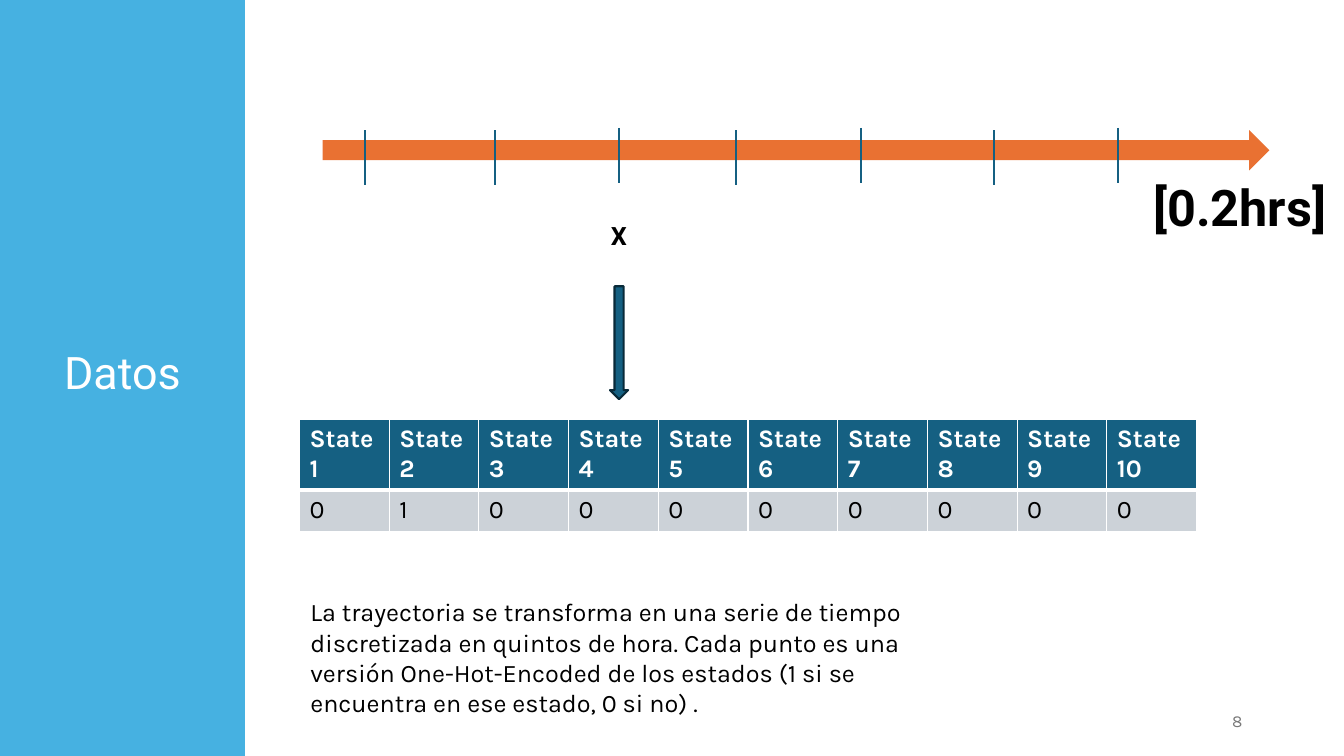
from lxml import etree
from pptx import Presentation
from pptx import util as u
from pptx.dml.color import RGBColor
from pptx.enum import shapes, text
from pptx.oxml.ns import qn

PX = 9144  # 100 px to the inch
SLIDE = (1333, 750)
COLORS = {
    "sidebar": "46B1E1", "timeline": "E97132", "teal": "156082",
    "outline": "092A39", "row": "CCD2D8", "number": "797979",
    "white": "FFFFFF", "black": "000000",
}

TITLE = "Datos"
NUMBER = "8"
UNIT = "[0.2hrs]"
MARK = "X"
CAPTION = (
    "La trayectoria se transforma en una serie de tiempo discretizada en "
    "quintos de hora. Cada punto es una versión One-Hot-Encoded de los "
    "estados (1 si se encuentra en ese estado, 0 si no) ."
)
STATES = 10
ACTIVE_STATE = 2

TICKS = [(362, 129), (491, 129), (614, 127), (730, 129),
         (854, 127), (986, 129), (1109, 127)]
TICK_LENGTH = 55
TABLE_LEFT, TABLE_TOP, COLUMN = 297, 416, 89
ROWS = (70, 41)


def px(*lengths):
    return [u.Emu(length * PX) for length in lengths]


def color(name):
    return RGBColor.from_string(COLORS[name])


def style(para, size, font, ink, bold=False):
    para.font.size = u.Pt(size)
    para.font.name = font
    para.font.bold = bold
    para.font.color.rgb = color(ink)


def add_text(page, words, place, size, font, ink="black", bold=False,
             align=text.PP_ALIGN.LEFT, anchor=text.MSO_ANCHOR.TOP):
    frame = page.shapes.add_textbox(*px(*place)).text_frame
    frame.word_wrap = True
    frame.vertical_anchor = anchor
    para = frame.paragraphs[0]
    para.text = words
    para.alignment = align
    style(para, size, font, ink, bold)
    return para


def add_block(page, kind, place, fill, outline=None):
    block = page.shapes.add_shape(kind, *px(*place))
    block.shadow.inherit = False
    block.fill.solid()
    block.fill.fore_color.rgb = color(fill)
    if outline:
        block.line.color.rgb = color(outline)
        block.line.width = u.Pt(1.5)
    else:
        block.line.fill.background()


def add_tick(page, left, top):
    tick = page.shapes.add_connector(
        shapes.MSO_CONNECTOR.STRAIGHT, *px(left, top, left, top + TICK_LENGTH))
    tick.line.color.rgb = color("teal")
    tick.line.width = u.Pt(1.5)
    etree.SubElement(tick._element.spPr, qn("a:effectLst"))


def set_borders(cell, top, bottom):
    """Draw white cell borders; widths are in points."""
    props = cell._tc.get_or_add_tcPr()
    sides = (("a:lnL", 1), ("a:lnR", 1), ("a:lnT", top), ("a:lnB", bottom))
    for index, (side, width) in enumerate(sides):
        line = etree.Element(qn(side), w=str(u.Pt(width)))
        fill = etree.SubElement(line, qn("a:solidFill"))
        etree.SubElement(fill, qn("a:srgbClr"), val=COLORS["white"])
        props.insert(index, line)


def add_states(page):
    place = px(TABLE_LEFT, TABLE_TOP, COLUMN * STATES, sum(ROWS))
    table = page.shapes.add_table(len(ROWS), STATES, *place).table
    table.horz_banding = False
    for row, height in zip(table.rows, ROWS):
        row.height = px(height)[0]
    for index, column in enumerate(table.columns):
        column.width = px(COLUMN)[0]
        state = index + 1
        # \v is a line break within the paragraph
        entries = (
            (f"State\v{state}", "teal", "white", True, 1, 3),
            (str(int(state == ACTIVE_STATE)), "row", "black", False, 3, 1),
        )
        for row, (words, fill, ink, bold, top, bottom) in enumerate(entries):
            cell = table.cell(row, index)
            cell.fill.solid()
            cell.fill.fore_color.rgb = color(fill)
            para = cell.text_frame.paragraphs[0]
            para.text = words
            style(para, 18, "Karla", ink, bold)
            set_borders(cell, top, bottom)


def main():
    deck = Presentation()
    deck.slide_width, deck.slide_height = px(*SLIDE)
    page = deck.slides.add_slide(deck.slide_layouts[6])
    preset = shapes.MSO_SHAPE
    middle = text.MSO_ANCHOR.MIDDLE

    add_block(page, preset.RECTANGLE, (0, 0, 243, 750), "sidebar")
    title = add_text(page, TITLE, (0, 303, 243, 138), 32, "Roboto", "white",
                     align=text.PP_ALIGN.CENTER, anchor=middle)
    title.line_spacing = 0.9
    add_text(page, NUMBER, (942, 695, 300, 40), 12, "Karla", "number",
             align=text.PP_ALIGN.RIGHT, anchor=middle)
    add_text(page, CAPTION, (298, 587, 650, 131), 18, "Karla")

    add_block(page, preset.RIGHT_ARROW, (320, 129, 939, 40), "timeline")
    for left, top in TICKS:
        add_tick(page, left, top)
    add_text(page, UNIT, (1134, 170, 257, 131), 36, "Roboto", bold=True)
    add_text(page, MARK, (596, 214, 45, 40), 18, "Roboto", bold=True)
    add_block(page, preset.DOWN_ARROW, (605, 284, 18, 112), "teal", "outline")
    add_states(page)
    deck.save("out.pptx")


if __name__ == "__main__":
    main()
